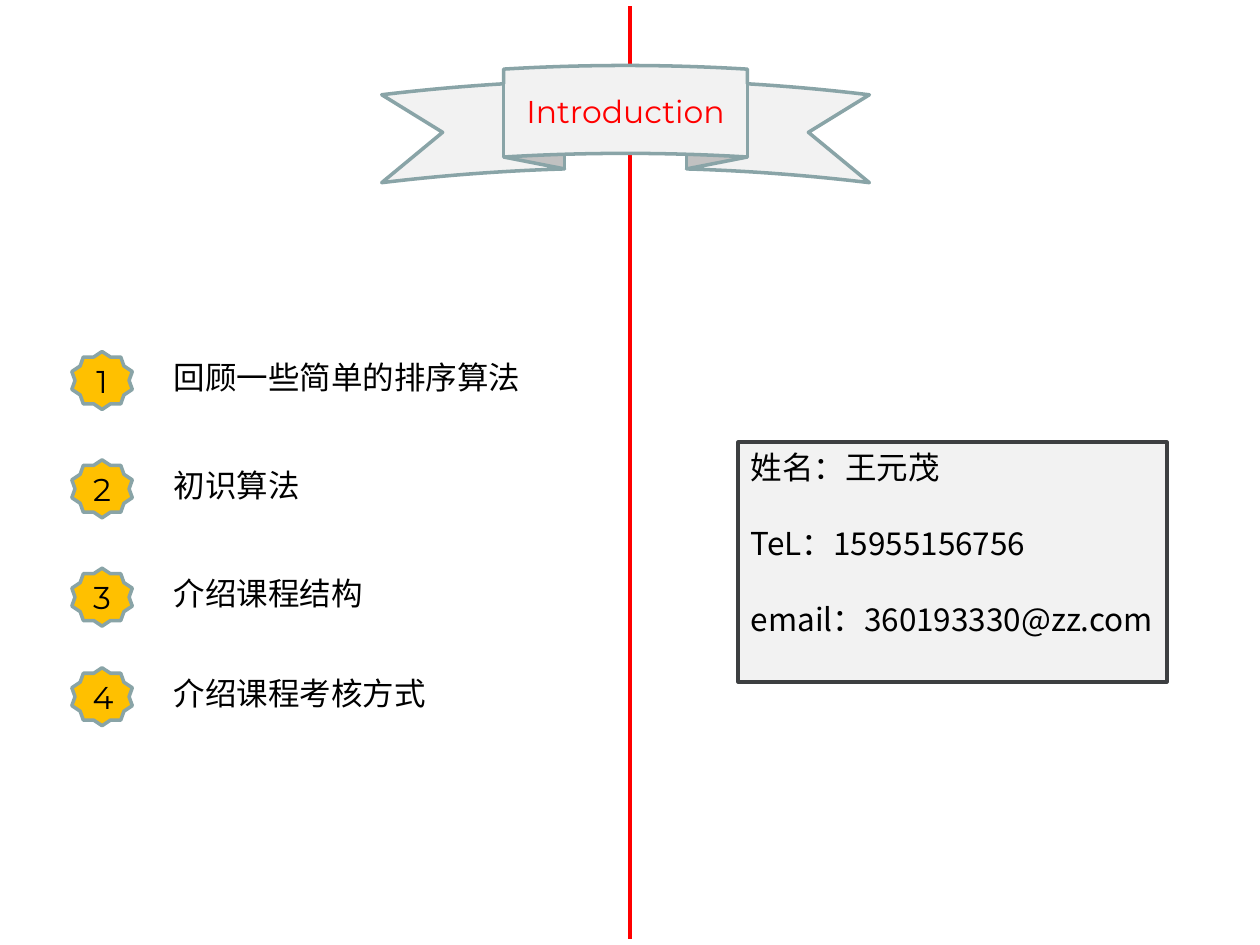
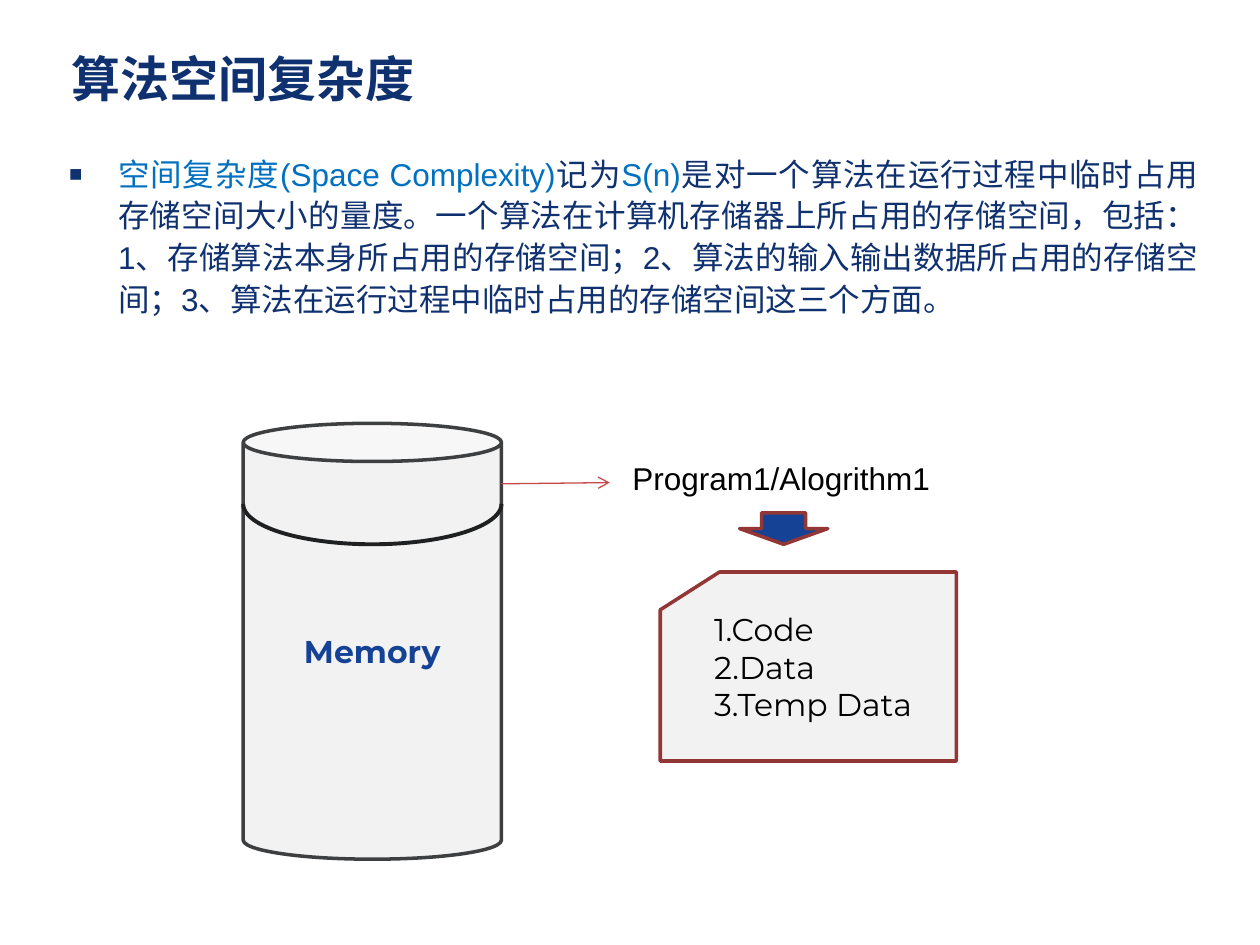
from lxml.etree import SubElement
from pptx import Presentation
from pptx.dml.color import RGBColor
from pptx.enum.shapes import MSO_CONNECTOR, MSO_SHAPE
from pptx.enum.text import MSO_ANCHOR, PP_ALIGN
from pptx.oxml.ns import qn
from pptx.util import Inches, Pt

# Content
BANNER = "Introduction"
TOPICS = [  # text, top
    ("回顾一些简单的排序算法", 2.79),
    ("初识算法", 3.65),
    ("介绍课程结构", 4.51),
    ("介绍课程考核方式", 5.3),
]
CONTACT = ["姓名：王元茂", "TeL：15955156756", "email：360193330@zz.com"]
TITLE = "算法空间复杂度"
DEFINITION = [  # text, colour
    ("空间复杂度(Space Complexity)", "term"),
    ("记为", "navy"),
    ("S(n)", "term"),
    ("是对一个算法在运行过程中临时占用存储空间大小的量度。"
     "一个算法在计算机存储器上所占用的存储空间，包括："
     "1、存储算法本身所占用的存储空间；"
     "2、算法的输入输出数据所占用的存储空间；"
     "3、算法在运行过程中临时占用的存储空间这三个方面。", "navy"),
]
MEMORY = "Memory"
PROGRAM = "Program1/Alogrithm1"
PROGRAM_PARTS = ["1.Code", "2.Data", "3.Temp Data"]

# Shared style
COLORS = {
    "red": "FF0000", "panel": "F2F2F2", "sage": "89A4A7", "gold": "FFC000",
    "black": "000000", "charcoal": "3D3F41", "ink": "1F2021", "navy": "103170",
    "blue": "154295", "term": "0070C0", "maroon": "933636", "arrow": "C74848",
}
DISPLAY, CHINESE, PLAIN = "Montserrat", "Noto Sans CJK SC", "Arial"
WIDTH, HEIGHT = 10, 7.5
BLANK_LINE = 21.7


def color(name):
    return RGBColor.from_string(COLORS[name])


def box(left, top, width, height):
    return [Inches(value) for value in (left, top, width, height)]


def apply(target, values):
    for name, value in values.items():
        setattr(target, name, value)


def add_run(paragraph, text, font=DISPLAY, ink="black", size=18, bold=False):
    run = paragraph.add_run()
    run.text = text
    apply(run.font, {"name": font, "size": Pt(size), "bold": bold})
    run.font.color.rgb = color(ink)
    SubElement(run.font._element, qn("a:ea"), typeface=CHINESE)


def write(shape, lines, align=PP_ALIGN.LEFT, anchor=MSO_ANCHOR.TOP, gap=0, **style):
    frame = shape.text_frame
    apply(frame, {"word_wrap": True, "vertical_anchor": anchor})
    for index, line in enumerate(lines):
        paragraph = frame.add_paragraph() if index else frame.paragraphs[0]
        paragraph.alignment = align
        if index and gap:
            paragraph.space_before = Pt(gap)
        add_run(paragraph, line, **style)


def add_text(slide, place, lines, **style):
    write(slide.shapes.add_textbox(*box(*place)), lines, **style)


def add_figure(slide, kind, place, fill, line, weight=2):
    shape = slide.shapes.add_shape(kind, *box(*place))
    shape.shadow.inherit = False
    if fill:
        shape.fill.solid()
        shape.fill.fore_color.rgb = color(fill)
    else:
        shape.fill.background()
    shape.line.color.rgb = color(line)
    shape.line.width = Pt(weight)
    return shape


def add_line(slide, start, end, ink, weight, arrow=False):
    points = [Inches(value) for value in start + end]
    connector = slide.shapes.add_connector(MSO_CONNECTOR.STRAIGHT, *points)
    connector.line.color.rgb = color(ink)
    connector.line.width = Pt(weight)
    if arrow:
        SubElement(connector.line._get_or_add_ln(), qn("a:tailEnd"), type="arrow")
    SubElement(connector._element.spPr, qn("a:effectLst"))


def build_introduction(presentation):
    slide = presentation.slides.add_slide(presentation.slide_layouts[6])
    centered = {"align": PP_ALIGN.CENTER, "anchor": MSO_ANCHOR.MIDDLE}

    # Divider and ribbon
    add_line(slide, (WIDTH / 2, 0.05), (WIDTH / 2, HEIGHT - 0.05), "red", 2)
    ribbon = add_figure(slide, MSO_SHAPE.CURVED_UP_RIBBON, (3.03, 0.52, 3.87, 0.93),
                        "panel", "sage")
    write(ribbon, [BANNER], ink="red", **centered)

    # Numbered topics
    for number, (topic, top) in enumerate(TOPICS, 1):
        badge = add_figure(slide, MSO_SHAPE.STAR_10_POINT, (0.57, top, 0.48, 0.46),
                           "gold", "sage")
        write(badge, [str(number)], **centered)
        add_text(slide, (1.28, top, 3.29, 0.4), [topic], font=CHINESE)

    # Contact card
    card = add_figure(slide, MSO_SHAPE.RECTANGLE, (5.86, 3.51, 3.4, 1.9),
                      "panel", "charcoal", 2.25)
    write(card, CONTACT, gap=BLANK_LINE, font=CHINESE)


def add_definition(slide):
    frame = slide.shapes.add_textbox(*box(0.45, 1.15, 9.16, 5.61)).text_frame
    frame.word_wrap = True
    paragraph = frame.paragraphs[0]
    apply(paragraph, {"alignment": PP_ALIGN.JUSTIFY, "line_spacing": 1.1})
    properties = paragraph._p.get_or_add_pPr()
    indent = Inches(0.39)
    layout = {"marL": indent, "indent": -indent, "hangingPunct": 0}
    for name, value in layout.items():
        properties.set(name, str(value))
    bullet_color = SubElement(properties, qn("a:buClr"))
    SubElement(bullet_color, qn("a:srgbClr"), val=COLORS["navy"])
    SubElement(properties, qn("a:buSzPct"), val="70000")
    SubElement(properties, qn("a:buFont"), typeface=PLAIN)
    SubElement(properties, qn("a:buChar"), char="■")
    for text, ink in DEFINITION:
        add_run(paragraph, text, PLAIN, ink)


def build_space_complexity(presentation):
    slide = presentation.slides.add_slide(presentation.slide_layouts[5])

    # Title and definition
    title = slide.shapes.title
    places = box(0.47, 0.21, 7.59, 0.7)
    apply(title, dict(zip(("left", "top", "width", "height"), places)))
    write(title, [TITLE], anchor=MSO_ANCHOR.BOTTOM, ink="navy", size=28, bold=True)
    title.text_frame.paragraphs[0].line_spacing = 0.9
    add_definition(slide)

    # Memory cylinder with the program's share marked off
    left, width = 1.93, 2.05
    memory = add_figure(slide, MSO_SHAPE.CAN, (left, 3.36, width, 3.46),
                        "panel", "charcoal")
    memory.adjustments[0] = 0.148
    write(memory, [MEMORY], align=PP_ALIGN.CENTER, anchor=MSO_ANCHOR.MIDDLE,
          ink="blue", bold=True)
    share = add_figure(slide, MSO_SHAPE.ARC, (left, 3.68, width, 0.64),
                       None, "ink", 2.25)
    share.adjustments[0] = 0
    share.adjustments[1] = 108  # half a turn

    # Program and its parts
    add_line(slide, (left + width, 3.84), (4.84, 3.83), "arrow", 0.75, arrow=True)
    add_text(slide, (4.92, 3.59, 4.12, 0.4), [PROGRAM], font=PLAIN)
    add_figure(slide, MSO_SHAPE.DOWN_ARROW, (5.87, 4.07, 0.7, 0.25), "blue", "maroon")
    add_figure(slide, MSO_SHAPE.FLOWCHART_CARD, (5.24, 4.54, 2.35, 1.5),
               "panel", "maroon")
    add_text(slide, (5.57, 4.79, 2.02, 1), PROGRAM_PARTS)


def main():
    presentation = Presentation()
    presentation.slide_width = Inches(WIDTH)
    presentation.slide_height = Inches(HEIGHT)
    build_introduction(presentation)
    build_space_complexity(presentation)
    presentation.save("out.pptx")


if __name__ == "__main__":
    main()
